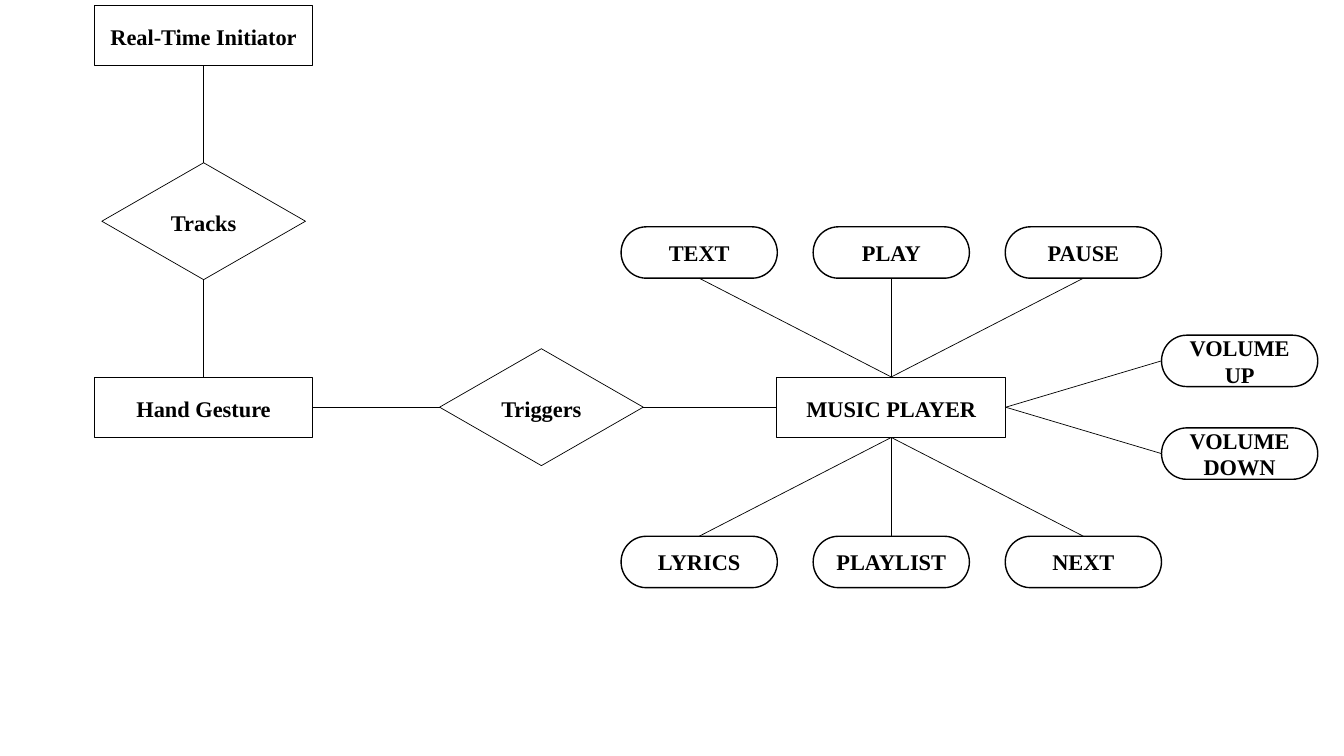
from collections import namedtuple
from lxml.etree import SubElement
from pptx import Presentation
from pptx.dml.color import RGBColor
from pptx.enum.shapes import MSO_CONNECTOR as CONNECTOR, MSO_SHAPE as SHAPE
from pptx.enum.text import MSO_ANCHOR as ANCHOR, PP_ALIGN as ALIGN
from pptx.oxml.ns import qn
from pptx.util import Inches, Pt

# Lengths in inches
SLIDE_WIDTH, SLIDE_HEIGHT = 13.33, 7.5
Box = namedtuple("Box", "left top width height")
Kind = namedtuple("Kind", "preset width height line spacing after inset")

ENTITY = Kind(SHAPE.FLOWCHART_PROCESS, 2.16, 0.6, 0.5, 1.07, 8, 0.1)
PLAYER = ENTITY._replace(width=2.27)
RELATION = Kind(SHAPE.FLOWCHART_DECISION, 2.02, 1.16, 0.5, 1.07, 8, 0)
COMMAND = Kind(SHAPE.FLOWCHART_TERMINATOR, 1.55, 0.51, 1, 1, 0, 0.1)

# Connection sites of every node
TOP, LEFT, BOTTOM, RIGHT = range(4)
INK = "000000"


def paint(color_format, color):
    color_format.rgb = RGBColor.from_string(color)


def add_node(slide, kind, text, center_x, center_y):
    shape = slide.shapes.add_shape(
        kind.preset,
        Inches(center_x - kind.width / 2), Inches(center_y - kind.height / 2),
        Inches(kind.width), Inches(kind.height))
    shape.shadow.inherit = False
    shape.fill.background()
    paint(shape.line.color, INK)
    shape.line.width = Pt(kind.line)

    frame = shape.text_frame
    frame.text = text
    frame.word_wrap = True
    frame.vertical_anchor = ANCHOR.MIDDLE
    frame.margin_left = frame.margin_right = Inches(kind.inset)
    paragraph = frame.paragraphs[0]
    paragraph.alignment = ALIGN.CENTER
    paragraph.line_spacing = kind.spacing
    paragraph.space_after = Pt(kind.after)
    font = paragraph.runs[0].font
    font.name, font.size, font.bold = "Times New Roman", Pt(16), True
    paint(font.color, INK)
    return shape


def link(slide, start, start_site, end, end_site):
    line = slide.shapes.add_connector(CONNECTOR.STRAIGHT, 0, 0, 0, 0)
    line.begin_connect(start, start_site)
    line.end_connect(end, end_site)
    paint(line.line.color, INK)
    line.line.width = Pt(0.5)
    SubElement(line._element.spPr, qn("a:effectLst"))


def add_gesture_chain(slide, box):
    """Initiator above gesture, with the trigger at the lower right."""
    column = box.left + ENTITY.width / 2
    first_row = box.top + ENTITY.height / 2
    last_row = box.top + box.height - ENTITY.height / 2
    initiator = add_node(slide, ENTITY, "Real-Time Initiator", column, first_row)
    tracks = add_node(slide, RELATION, "Tracks", column, (first_row + last_row) / 2)
    gesture = add_node(slide, ENTITY, "Hand Gesture", column, last_row)
    triggers = add_node(slide, RELATION, "Triggers",
                        box.left + box.width - RELATION.width / 2, last_row)
    link(slide, initiator, BOTTOM, tracks, TOP)
    link(slide, tracks, BOTTOM, gesture, TOP)
    link(slide, gesture, RIGHT, triggers, LEFT)
    return triggers


def add_music_player(slide, box):
    """Player in the middle, its commands above, below and to the right."""
    first_column = box.left + COMMAND.width / 2
    last_column = box.left + box.width - COMMAND.width / 2
    # The third command ends where the volume column starts
    pitch = (box.width - 2 * COMMAND.width) / 2
    first_row = box.top + COMMAND.height / 2
    last_row = box.top + box.height - COMMAND.height / 2
    middle_row = (first_row + last_row) / 2
    player = add_node(slide, PLAYER, "MUSIC PLAYER", first_column + pitch, middle_row)

    # Rows of three commands
    for row, site, facing, names in (
            (first_row, TOP, BOTTOM, ("TEXT", "PLAY", "PAUSE")),
            (last_row, BOTTOM, TOP, ("LYRICS", "PLAYLIST", "NEXT"))):
        for index, name in enumerate(names):
            command = add_node(slide, COMMAND, name, first_column + index * pitch, row)
            link(slide, command, facing, player, site)

    # Volume commands, evenly above and below the player's axis
    for name, offset in (("VOLUME UP", -0.46), ("VOLUME DOWN", 0.46)):
        command = add_node(slide, COMMAND, name, last_column, middle_row + offset)
        link(slide, player, RIGHT, command, LEFT)
    return player


def add_relationship_slide(presentation):
    slide = presentation.slides.add_slide(presentation.slide_layouts[6])
    triggers = add_gesture_chain(slide, Box(0.94, 0.05, 5.44, 4.29))
    player = add_music_player(slide, Box(6.16, 2.25, 6.91, 3.58))
    link(slide, triggers, RIGHT, player, LEFT)


presentation = Presentation()
presentation.slide_width = Inches(SLIDE_WIDTH)
presentation.slide_height = Inches(SLIDE_HEIGHT)
add_relationship_slide(presentation)
presentation.save("out.pptx")
